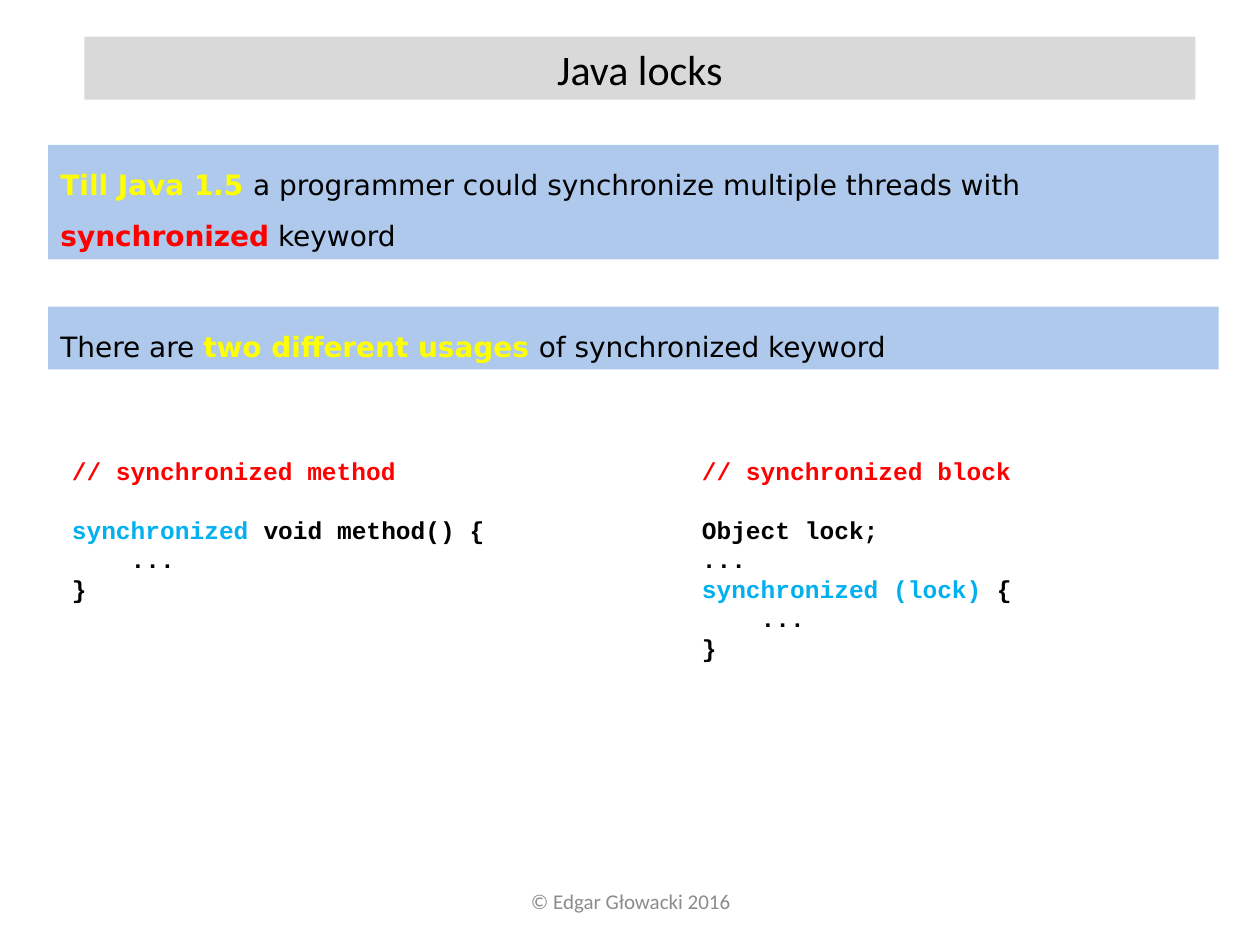
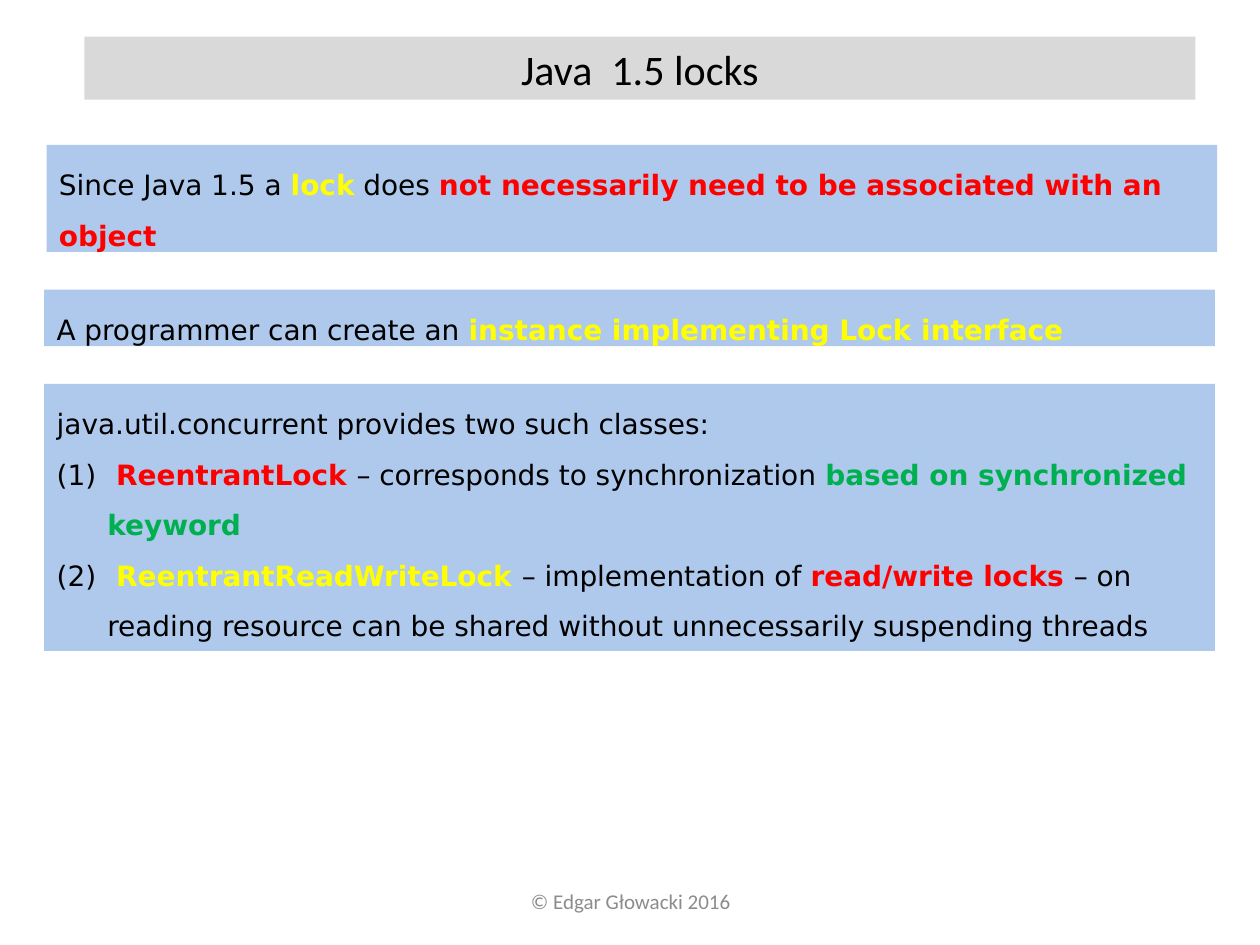
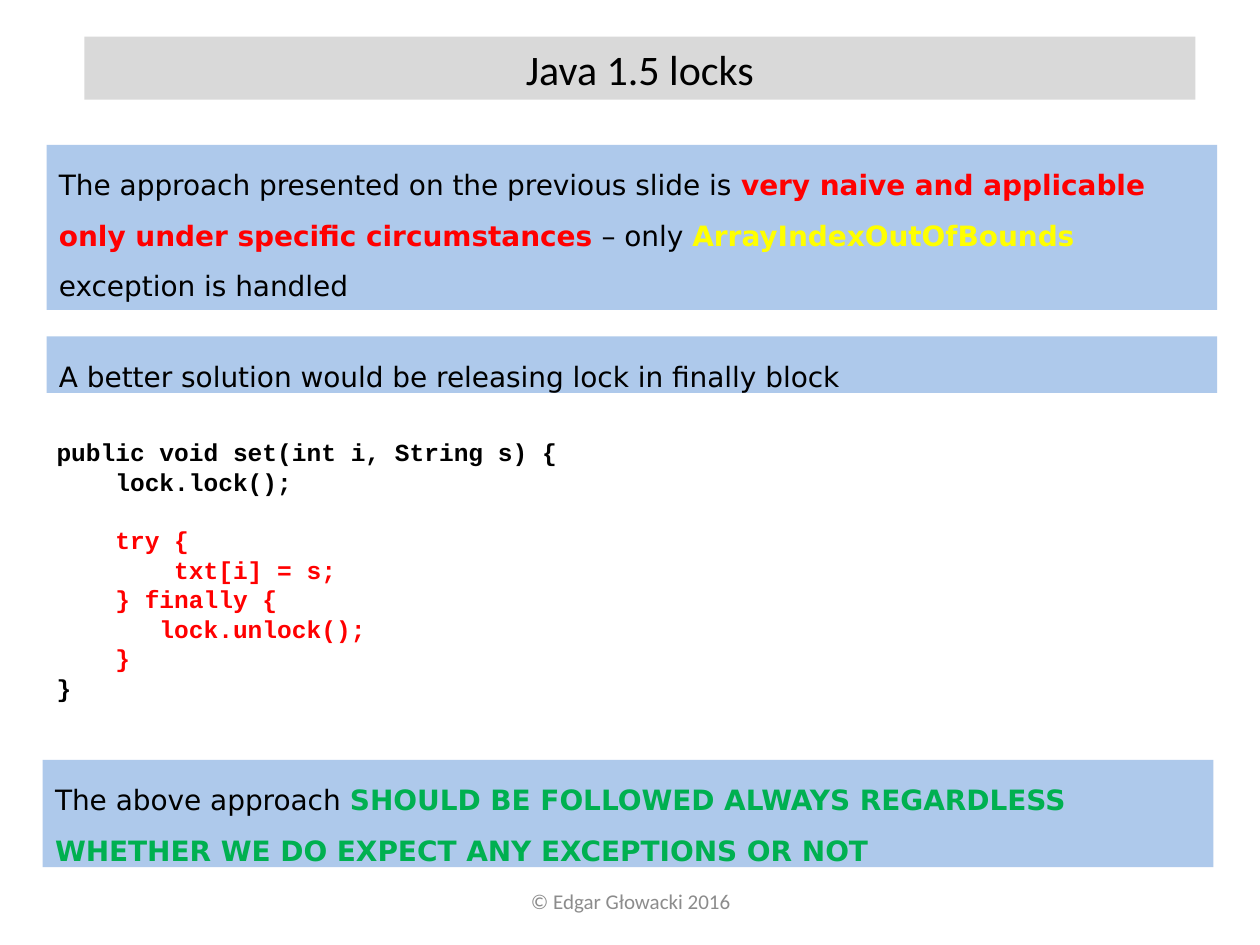
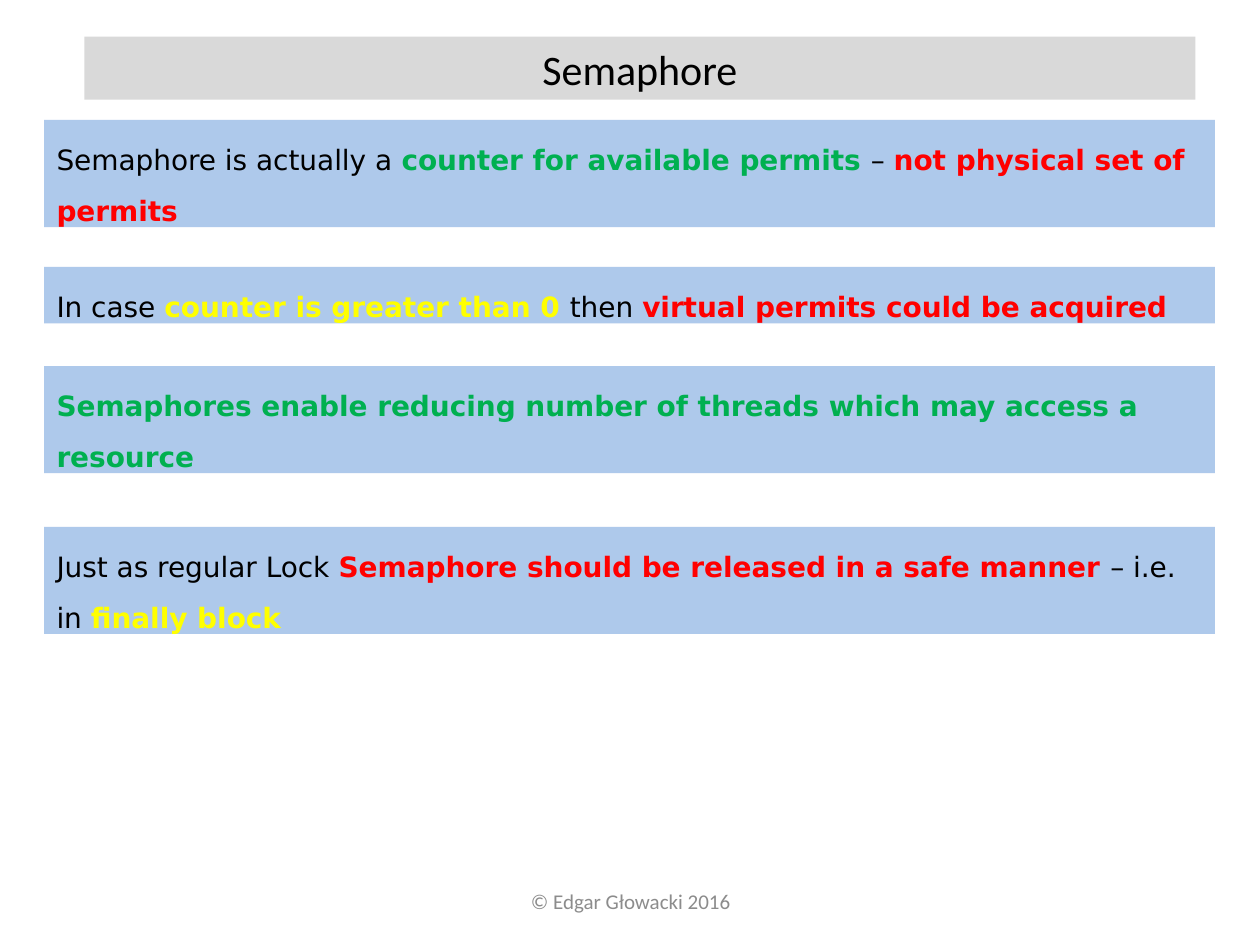
from copy import deepcopy

from lxml import etree
from pptx import Presentation
from pptx.dml.color import RGBColor
from pptx.enum.shapes import MSO_SHAPE, PP_PLACEHOLDER
from pptx.enum.text import MSO_ANCHOR, MSO_AUTO_SIZE, PP_ALIGN
from pptx.oxml.ns import qn
from pptx.util import Cm, Pt

RECT = MSO_SHAPE.RECTANGLE
FOOTER = PP_PLACEHOLDER.FOOTER
TOP, MIDDLE = MSO_ANCHOR.TOP, MSO_ANCHOR.MIDDLE
LEFT, CENTER = PP_ALIGN.LEFT, PP_ALIGN.CENTER
FIXED = MSO_AUTO_SIZE.NONE

BLACK = RGBColor(0x00, 0x00, 0x00)
GREY = RGBColor(0x8C, 0x8C, 0x8C)
SILVER = RGBColor(0xD9, 0xD9, 0xD9)
BLUE = RGBColor(0x8E, 0xB4, 0xE3)
SKY = RGBColor(0x00, 0xB0, 0xF0)
RED = RGBColor(0xFF, 0x00, 0x00)
YELLOW = RGBColor(0xFF, 0xFF, 0x00)
GREEN = RGBColor(0x00, 0xB0, 0x50)

SANS, MONO, HEAD = "DejaVu Sans", "Courier New", "Calibri"
TITLE_ONLY, TITLE_BODY = 5, 1
TITLE_BOX = (1.7, 0.74, 22.4, 1.27)
FOOT_BOX = (8.69, 17.65, 8.05, 1.02)
BAND_W = 23.6
ONE, TWO, THREE = 1.14, 2.16, 3.33  # band heights by number of text lines


def place(shape, box):
    shape.left, shape.top, shape.width, shape.height = map(Cm, box)


def write(shape, paras, font=SANS, size=16, color=BLACK, bold=False,
          align=LEFT, anchor=TOP, spacing=1.0):
    """Fill a shape with paragraphs of runs; a run is a text or (text, colour).

    Coloured runs are bold. An empty paragraph becomes space before the next.
    """
    frame = shape.text_frame
    frame.word_wrap = True
    frame.auto_size = FIXED
    frame.vertical_anchor = anchor
    para, gap = frame.paragraphs[0], 0
    for runs in paras:
        if not runs:
            gap = size * 1.2
            continue
        if para is None:
            para = frame.add_paragraph()
        para.alignment = align
        para.line_spacing = spacing
        para.space_before = Pt(gap)
        for part in runs:
            text, tint = (part, None) if isinstance(part, str) else part
            run = para.add_run()
            run.text = text
            run.font.name = font
            run.font.size = Pt(size)
            run.font.bold = bold or tint is not None
            run.font.color.rgb = tint or color
        para, gap = None, 0


def tint_blue(shape):
    """Give a shape the translucent blue fill of the bands."""
    shape.fill.solid()
    shape.fill.fore_color.rgb = BLUE
    color = shape._element.spPr.find(".//" + qn("a:srgbClr"))
    etree.SubElement(color, qn("a:alpha"), val="71000")


def start(deck, title, kind=TITLE_ONLY):
    """Add a slide with the title bar and the footer."""
    layout = deck.slide_layouts[kind]
    slide = deck.slides.add_slide(layout)
    bar = slide.shapes.title
    place(bar, TITLE_BOX)
    bar.fill.solid()
    bar.fill.fore_color.rgb = SILVER
    write(bar, [[title]], font=HEAD, size=24, align=CENTER)

    base = next(p for p in layout.placeholders
                if p.placeholder_format.type == FOOTER)
    slide.shapes._spTree.append(deepcopy(base._element))
    foot = slide.shapes[-1]
    place(foot, FOOT_BOX)
    write(foot, [["© Edgar Głowacki 2016"]], font=HEAD, size=12, color=GREY,
          align=CENTER, anchor=MIDDLE)
    return slide


def band(slide, left, top, height, *runs):
    shape = slide.shapes.add_shape(RECT, 0, 0, 0, 0)
    place(shape, (left, top, BAND_W, height))
    shape.shadow.inherit = False
    shape.line.fill.background()
    tint_blue(shape)
    write(shape, [runs], spacing=1.5)


def code(slide, box, *lines):
    shape = slide.shapes.add_textbox(0, 0, 0, 0)
    place(shape, box)
    write(shape, lines, font=MONO, size=14, bold=True)


def items(slide, box, lead, *points):
    """Fill the body with a lead line and a numbered list."""
    body = slide.placeholders[1]
    place(body, box)
    tint_blue(body)
    write(body, [lead, *points], spacing=1.5)
    first, *rest = body.text_frame.paragraphs
    props = first._p.get_or_add_pPr()
    props.set("marL", "0")
    props.set("indent", "0")
    etree.SubElement(props, qn("a:buNone"))
    for para in rest:
        props = para._p.get_or_add_pPr()
        props.set("marL", str(Cm(1.02)))
        props.set("indent", str(-Cm(1.02)))
        etree.SubElement(props, qn("a:buFont"), typeface="+mj-lt")
        etree.SubElement(props, qn("a:buAutoNum"), type="arabicParenBoth")


def usage(deck):
    slide = start(deck, "Java locks")
    code(slide, (1.2, 9.07, 9.8, 3.25),
         [("// synchronized method", RED)],
         [],
         [("synchronized", SKY), " void method() {"],
         ["    ..."],
         ["}"])
    code(slide, (13.9, 9.07, 9.8, 4.44),
         [("// synchronized block", RED)],
         [],
         ["Object lock;"],
         ["..."],
         [("synchronized (lock) ", SKY), "{"],
         ["    ..."],
         ["}"])
    band(slide, 0.97, 2.92, 2.31, ("Till Java 1.5 ", YELLOW),
         "a programmer could synchronize multiple threads with ",
         ("synchronized", RED), " keyword")
    band(slide, 0.97, 6.18, 1.27, "There are ",
         ("two different usages ", YELLOW), "of synchronized keyword")


def classes(deck):
    slide = start(deck, "Java  1.5 locks", TITLE_BODY)
    band(slide, 0.94, 2.92, TWO, "Since Java 1.5 a ", ("lock", YELLOW),
         " does ",
         ("not necessarily need to be associated with an object", RED))
    items(slide, (0.89, 7.74, BAND_W, 5.38),
          ["java.util.concurrent provides two such classes:"],
          [" ", ("ReentrantLock ", RED), "– corresponds to synchronization ",
           ("based on synchronized keyword", GREEN)],
          [" ", ("ReentrantReadWriteLock ", YELLOW), "– implementation of ",
           ("read/write locks ", RED),
           "– on reading resource can be shared without unnecessarily "
           "suspending threads"])
    band(slide, 0.89, 5.84, ONE, "A programmer can create an ",
         ("instance implementing Lock interface", YELLOW))


def release(deck):
    slide = start(deck, "Java 1.5 locks")
    band(slide, 0.94, 2.92, THREE,
         "The approach presented on the previous slide is ",
         ("very naive and applicable only under specific circumstances", RED),
         " – only ", ("ArrayIndexOutOfBounds", YELLOW),
         " exception is handled")
    band(slide, 0.94, 6.78, ONE,
         "A better solution would be releasing lock in finally block")
    code(slide, (0.89, 8.69, 22.94, 5.64),
         ["public void set(int i, String s) {"],
         ["    lock.lock();"],
         [],
         [("    try {", RED)],
         [("        txt[i] = s;", RED)],
         [("    } finally {", RED)],
         [("       lock.unlock();", RED)],
         [("    }", RED)],
         ["}"])
    band(slide, 0.86, 15.32, TWO, "The above approach ",
         ("SHOULD BE FOLLOWED ALWAYS REGARDLESS WHETHER WE DO EXPECT "
          "ANY EXCEPTIONS OR NOT", GREEN))


def permits(deck):
    slide = start(deck, "Semaphore")
    band(slide, 0.89, 2.42, TWO, "Semaphore is actually a ",
         ("counter for available permits ", GREEN), "– ",
         ("not physical set of permits", RED))
    band(slide, 0.89, 5.38, ONE, "In case ",
         ("counter is greater than 0 ", YELLOW), "then ",
         ("virtual permits could be acquired", RED))
    band(slide, 0.89, 7.38, TWO,
         ("Semaphores enable reducing number of threads which may access "
          "a resource", GREEN))
    band(slide, 0.89, 10.62, TWO, "Just as regular Lock ",
         ("Semaphore should be released in a safe manner ", RED),
         "– i.e. in ", ("finally block", YELLOW))


def main():
    deck = Presentation()
    deck.slide_width, deck.slide_height = Cm(25.4), Cm(19.05)
    for build in (usage, classes, release, permits):
        build(deck)
    deck.save("out.pptx")


if __name__ == "__main__":
    main()
